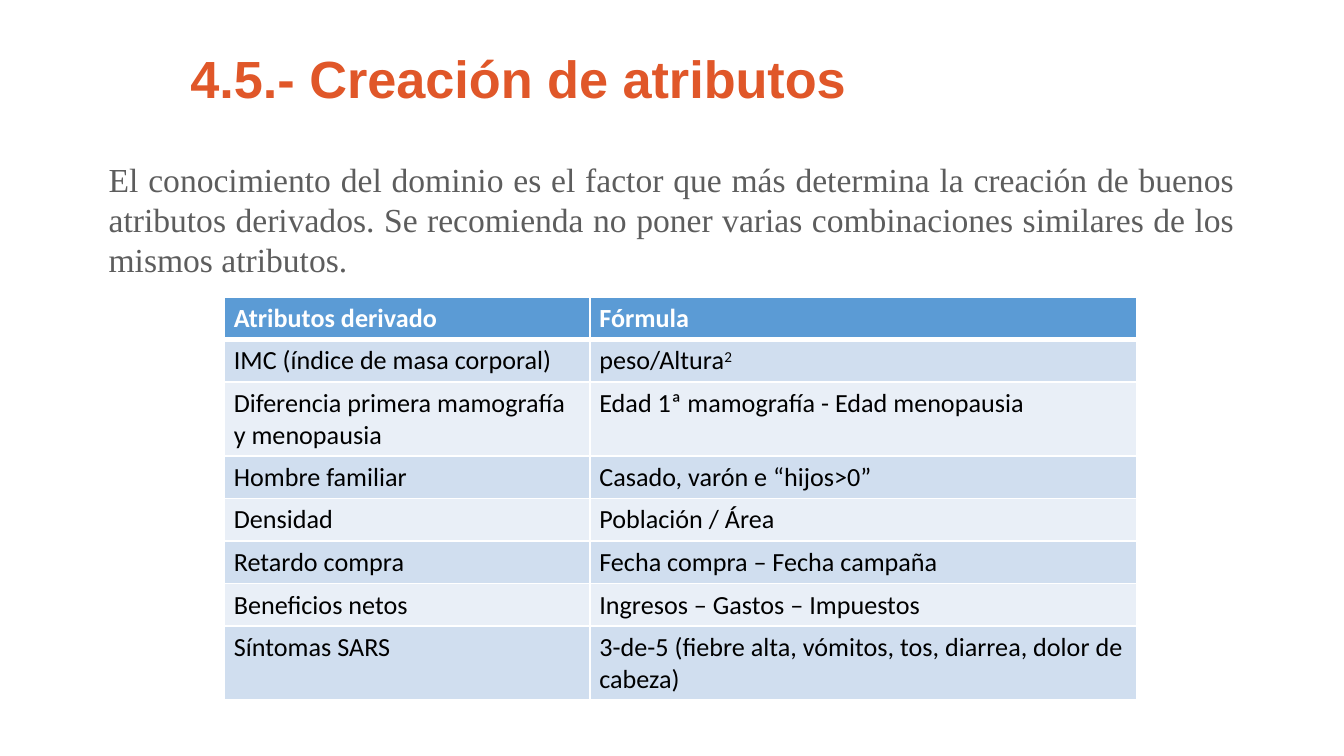
from lxml import etree
from pptx import Presentation
from pptx.dml.color import RGBColor
from pptx.enum import text
from pptx.oxml import ns
from pptx.util import Inches, Pt

ROWS = [
    ("Atributos derivado", "Fórmula"),
    ("IMC (índice de masa corporal)", "peso/Altura"),
    ("Diferencia primera mamografía y menopausia", "Edad 1ª mamografía - Edad menopausia"),
    ("Hombre familiar", "Casado, varón e “hijos>0”"),
    ("Densidad", "Población / Área"),
    ("Retardo compra", "Fecha compra – Fecha campaña"),
    ("Beneficios netos", "Ingresos – Gastos – Impuestos"),
    ("Síntomas SARS", "3-de-5 (fiebre alta, vómitos, tos, diarrea, dolor de cabeza)"),
]
SQUARED_ROW = 1
TALL_ROWS = (2, 7)
COLUMN_WIDTHS = (2.72, 4.07)


def color(hex_string):
    return RGBColor.from_string(hex_string)


def style_font(font, name, size, hex_color, bold=False):
    font.name, font.size, font.bold = name, Pt(size), bold
    font.color.rgb = color(hex_color)


def add_text(slide, box, content, alignment, anchor, font_style):
    shape = slide.shapes.add_textbox(*map(Inches, box))
    frame = shape.text_frame
    frame.word_wrap = True
    frame.vertical_anchor = anchor
    frame.text = content
    paragraph = frame.paragraphs[0]
    paragraph.alignment = alignment
    style_font(paragraph.runs[0].font, *font_style)
    return paragraph


def add_title(slide, box):
    paragraph = add_text(slide, box, "4.5.- Creación de atributos", text.PP_ALIGN.CENTER,
                         text.MSO_ANCHOR.MIDDLE, ("Arial", 28, "E05729", True))
    paragraph.line_spacing = 0.9


def add_introduction(slide, box):
    add_text(slide, box,
             "El conocimiento del dominio es el factor que más determina la creación de "
             "buenos atributos derivados. Se recomienda no poner varias combinaciones "
             "similares de los mismos atributos.",
             text.PP_ALIGN.JUSTIFY, text.MSO_ANCHOR.TOP, ("Times New Roman", 18, "5D5D5D"))


def set_borders(cell, widths):
    properties = cell._tc.get_or_add_tcPr()
    for side, width in widths.items():
        line = etree.SubElement(properties, ns.qn(f"a:ln{side}"), w=str(Pt(width)))
        fill = etree.SubElement(line, ns.qn("a:solidFill"))
        etree.SubElement(fill, ns.qn("a:srgbClr"), val="FFFFFF")


def fill_cell(cell, content, row):
    header = row == 0
    cell.margin_left = cell.margin_right = Inches(0.07)
    cell.margin_top = cell.margin_bottom = Pt(3)
    # A thicker line separates the header from the data
    set_borders(cell, {"L": 1, "R": 1, "T": 3 if row == 1 else 1, "B": 3 if header else 1})
    cell.fill.solid()
    cell.fill.fore_color.rgb = color("5B9BD5" if header else "D0DEEF" if row % 2 else "E9EFF7")
    cell.text = content
    style_font(cell.text_frame.paragraphs[0].runs[0].font, "Calibri", 14,
               "FFFFFF" if header else "000000", header)


def add_formula_table(slide, box):
    table = slide.shapes.add_table(len(ROWS), len(COLUMN_WIDTHS), *map(Inches, box)).table
    for column, width in zip(table.columns, COLUMN_WIDTHS):
        column.width = Inches(width)
    for row, contents in enumerate(ROWS):
        table.rows[row].height = Inches(0.52 if row in TALL_ROWS else 0.3)
        for column, content in enumerate(contents):
            fill_cell(table.cell(row, column), content, row)
    # Exponent of the body mass index formula
    exponent = table.cell(SQUARED_ROW, 1).text_frame.paragraphs[0].add_run()
    exponent.text = "2"
    style_font(exponent.font, "Calibri", 14, "000000")
    exponent._r.get_or_add_rPr().set("baseline", "30000")


def main():
    presentation = Presentation()
    # Widescreen, 16:9
    presentation.slide_width = Inches(10)
    presentation.slide_height = Inches(10 * 9 / 16)
    slide = presentation.slides.add_slide(presentation.slide_layouts[6])
    add_title(slide, (1.18, 0.35, 5.35, 0.51))
    add_introduction(slide, (0.71, 1.13, 8.58, 1.01))
    add_formula_table(slide, (1.67, 2.21, 6.79, 3))
    presentation.save("out.pptx")


if __name__ == "__main__":
    main()
